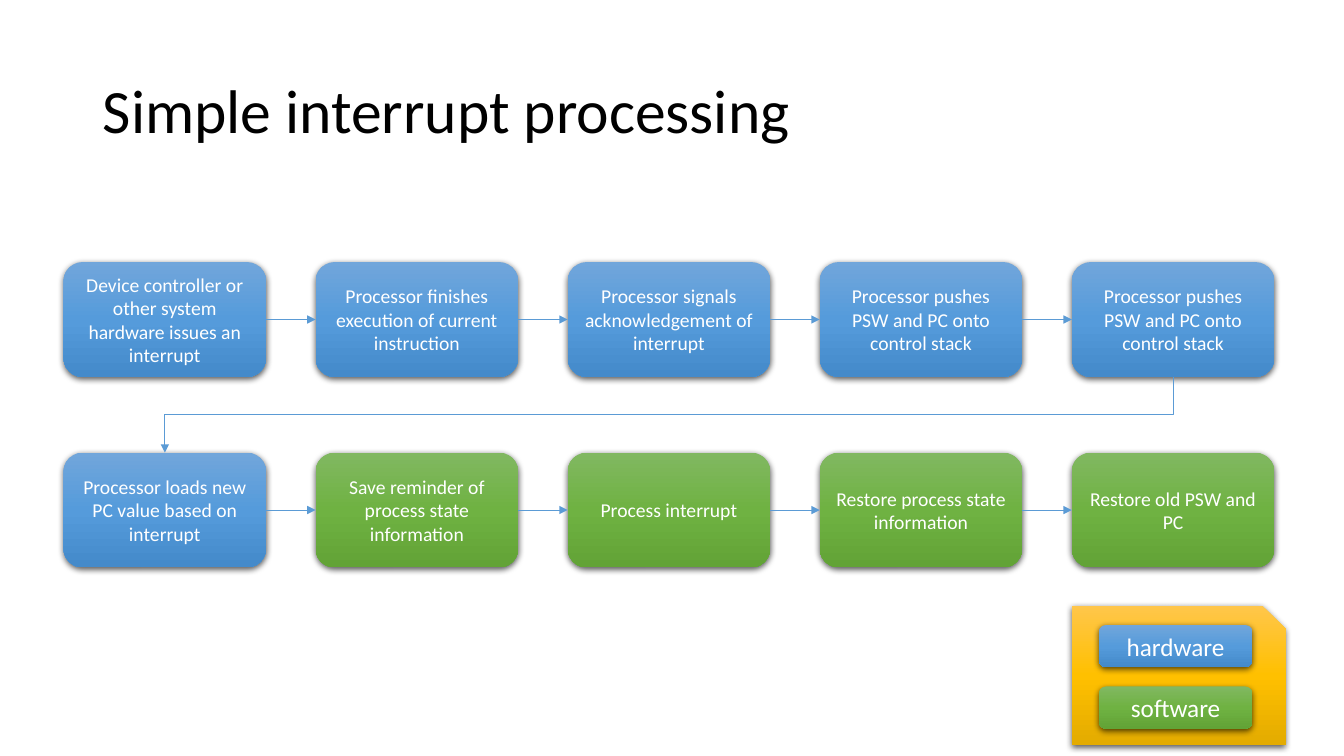
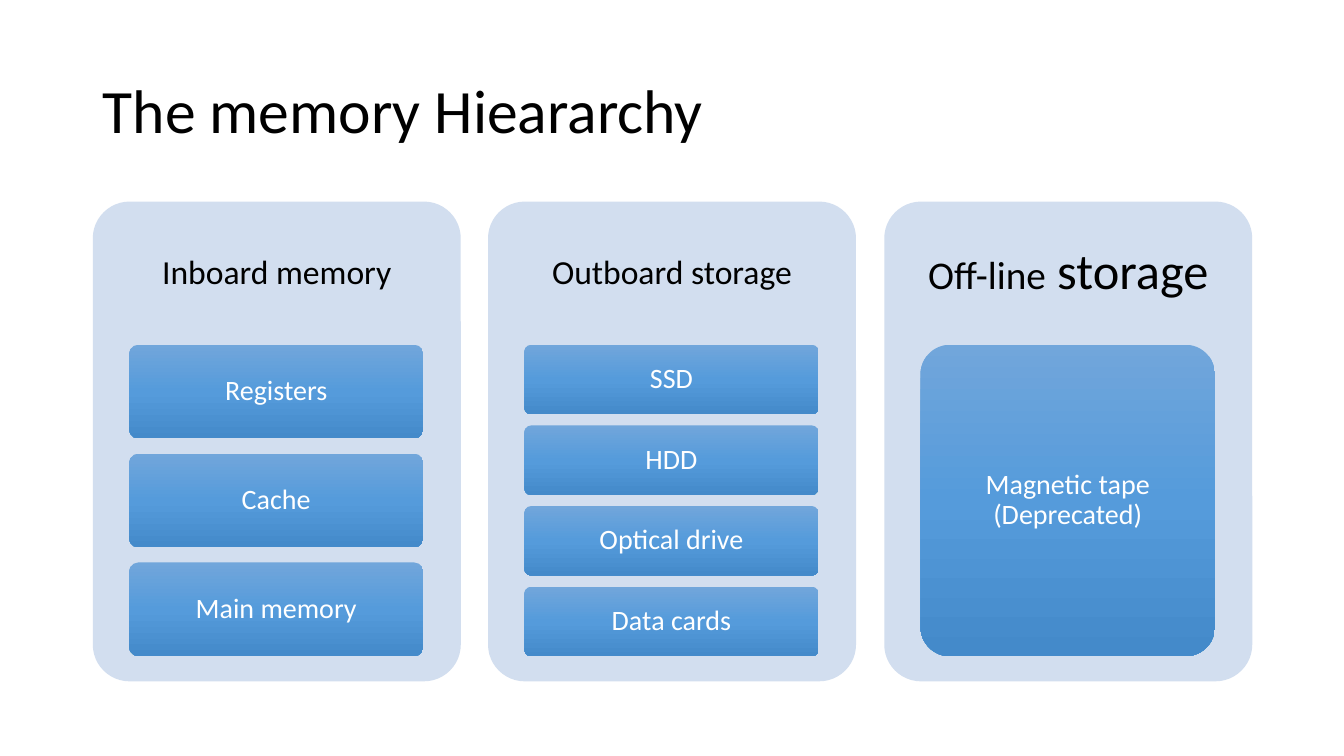
"""Build two slides: the steps of interrupt processing and the memory hierarchy."""
from copy import deepcopy
from dataclasses import dataclass

from lxml import etree
from pptx import Presentation, util as u
from pptx.dml.color import RGBColor
from pptx.enum import shapes, text
from pptx.oxml.ns import qn


@dataclass(frozen=True)
class Theme:
    font: str = "Calibri"
    black: str = "000000"
    white: str = "FFFFFF"
    arrow: str = "5B9BD5"
    panel: tuple = ("D2DEEF",)
    blue: tuple = ("71A6DB", "559BDB", "448ACA")
    green: tuple = ("81B861", "6FB242", "62A336")
    gold: tuple = ("FFC64B", "FFC000", "E3AB00")
    title_size: int = 44
    step_size: int = 14
    key_size: int = 18
    bar_size: int = 20
    heading_size: int = 24


theme = Theme()
PX = 9144
CENTER = text.PP_ALIGN.CENTER


def write(frame, runs, color, align=CENTER, spacing=1.0, insets=(10, 5)):
    """Fill a text frame with (words, size) runs in one paragraph."""
    frame.word_wrap = True
    frame.vertical_anchor = text.MSO_ANCHOR.MIDDLE
    frame.margin_left = frame.margin_right = insets[0] * PX
    frame.margin_top = frame.margin_bottom = insets[1] * PX
    paragraph = frame.paragraphs[0]
    paragraph.alignment = align
    paragraph.line_spacing = spacing
    for words, size in runs:
        run = paragraph.add_run()
        run.text = words
        run.font.name = theme.font
        run.font.size = u.Pt(size)
        run.font.color.rgb = RGBColor.from_string(color)


def add_block(slide, geometry, box, colors, corner=None, shadow=False):
    """Add a borderless shape, plain for one colour and shaded downwards for three."""
    block = slide.shapes.add_shape(geometry, *(length * PX for length in box))
    block.line.fill.background()
    block.shadow.inherit = False
    if corner is not None:
        block.adjustments[0] = corner
    if len(colors) == 1:
        block.fill.solid()
        block.fill.fore_color.rgb = RGBColor.from_string(colors[0])
    else:
        block.fill.gradient()
        block.fill.gradient_angle = 270
        stops = block._element.spPr.find(qn("a:gradFill")).find(qn("a:gsLst"))
        stops.append(deepcopy(stops[0]))
        for stop, color, position in zip(block.fill.gradient_stops, colors, (0, 0.5, 1)):
            stop.color.rgb = RGBColor.from_string(color)
            stop.position = position
    if shadow:
        effects = block._element.spPr.find(qn("a:effectLst"))
        cast = etree.SubElement(effects, qn("a:outerShdw"), blurRad="57150",
                                dist="19050", dir="5400000", algn="ctr", rotWithShape="0")
        tint = etree.SubElement(cast, qn("a:srgbClr"), val=theme.black)
        etree.SubElement(tint, qn("a:alpha"), val="63000")
    return block


ROUNDED = shapes.MSO_SHAPE.ROUNDED_RECTANGLE
deck = Presentation()
deck.slide_width, deck.slide_height = 1333 * PX, 750 * PX

slides = []
for heading in ("Simple interrupt processing", "The memory Hieararchy"):
    slide = deck.slides.add_slide(deck.slide_layouts[5])
    title = slide.shapes.title
    title.left, title.top, title.width, title.height = (v * PX for v in (92, 40, 1150, 145))
    write(title.text_frame, [(heading, theme.title_size)], theme.black,
          text.PP_ALIGN.LEFT, 0.9)
    slides.append(slide)
interrupt_slide, memory_slide = slides

hardware_steps = [
    "Device controller or other system hardware issues an interrupt",
    "Processor finishes execution of current instruction",
    "Processor signals acknowledgement of interrupt",
    "Processor pushes PSW and PC onto control stack",
    "Processor pushes PSW and PC onto control stack",
    "Processor loads new PC value based on interrupt",
]
software_steps = [
    "Save reminder of process state information",
    "Process interrupt",
    "Restore process state information",
    "Restore old PSW and PC",
]
PER_ROW = 5
steps = []
for index, words in enumerate(hardware_steps + software_steps):
    row, column = divmod(index, PER_ROW)
    colors = theme.blue if index < len(hardware_steps) else theme.green
    step = add_block(interrupt_slide, ROUNDED,
                     (63 + 250 * column, 260 + 189 * row, 201, 114), colors, shadow=True)
    write(step.text_frame, [(words, theme.step_size)], theme.white)
    steps.append(step)

for index, (source, target) in enumerate(zip(steps, steps[1:]), 1):
    wraps = index == PER_ROW
    kind = shapes.MSO_CONNECTOR.ELBOW if wraps else shapes.MSO_CONNECTOR.STRAIGHT
    arrow = interrupt_slide.shapes.add_connector(kind, 0, 0, 0, 0)
    arrow.begin_connect(source, 2 if wraps else 3)
    arrow.end_connect(target, 0 if wraps else 1)
    arrow.line.color.rgb = RGBColor.from_string(theme.arrow)
    arrow.line.width = u.Pt(0.5)
    properties = arrow._element.spPr
    etree.SubElement(properties.find(qn("a:ln")), qn("a:tailEnd"), type="triangle")
    etree.SubElement(properties, qn("a:effectLst"))
    if wraps:
        run_length = source.left - target.left
        drop = target.top - source.top - source.height
        middle_x = target.left + (run_length + target.width) // 2
        middle_y = target.top - drop // 2
        arrow.left, arrow.top = middle_x - drop // 2, middle_y - run_length // 2
        arrow.width, arrow.height = drop, run_length
        frame = properties.find(qn("a:xfrm"))
        frame.set("rot", "5400000")
        frame.attrib.pop("flipH", None)
        frame.attrib.pop("flipV", None)

add_block(interrupt_slide, shapes.MSO_SHAPE.SNIP_1_RECTANGLE, (1063, 601, 212, 138),
          theme.gold, shadow=True)
for row, (words, colors) in enumerate((("hardware", theme.blue), ("software", theme.green))):
    key = add_block(interrupt_slide, ROUNDED, (1090, 620 + 61 * row, 152, 42),
                    colors, shadow=True)
    write(key.text_frame, [(words, theme.key_size)], theme.white)

memory_levels = [
    ([("Inboard memory", theme.heading_size)], ["Registers", "Cache", "Main memory"]),
    ([("Outboard storage", theme.heading_size)], ["SSD", "HDD", "Optical drive", "Data cards"]),
    ([("Off-line", 28), (" storage", 36)], ["Magnetic tape (Deprecated)"]),
]
BARS_TOP, BARS_HEIGHT, GAP_RATIO = 342, 309, 0.154
for column, (heading_runs, media) in enumerate(memory_levels):
    left = round(92 + 392.5 * column)
    add_block(memory_slide, ROUNDED, (left, 200, 365, 476), theme.panel, 0.1)
    heading = memory_slide.shapes.add_textbox(left * PX, 200 * PX, 365 * PX, 143 * PX)
    write(heading.text_frame, heading_runs, theme.black, spacing=0.9, insets=(10, 10))
    bar_height = BARS_HEIGHT / (len(media) + GAP_RATIO * (len(media) - 1))
    for row, words in enumerate(media):
        top = round(BARS_TOP + row * bar_height * (1 + GAP_RATIO))
        bar = add_block(memory_slide, ROUNDED, (left + 36, top, 292, round(bar_height)),
                        theme.blue, 0.1)
        write(bar.text_frame, [(words, theme.bar_size)], theme.white,
              spacing=0.9, insets=(6, 4))

deck.save("out.pptx")
